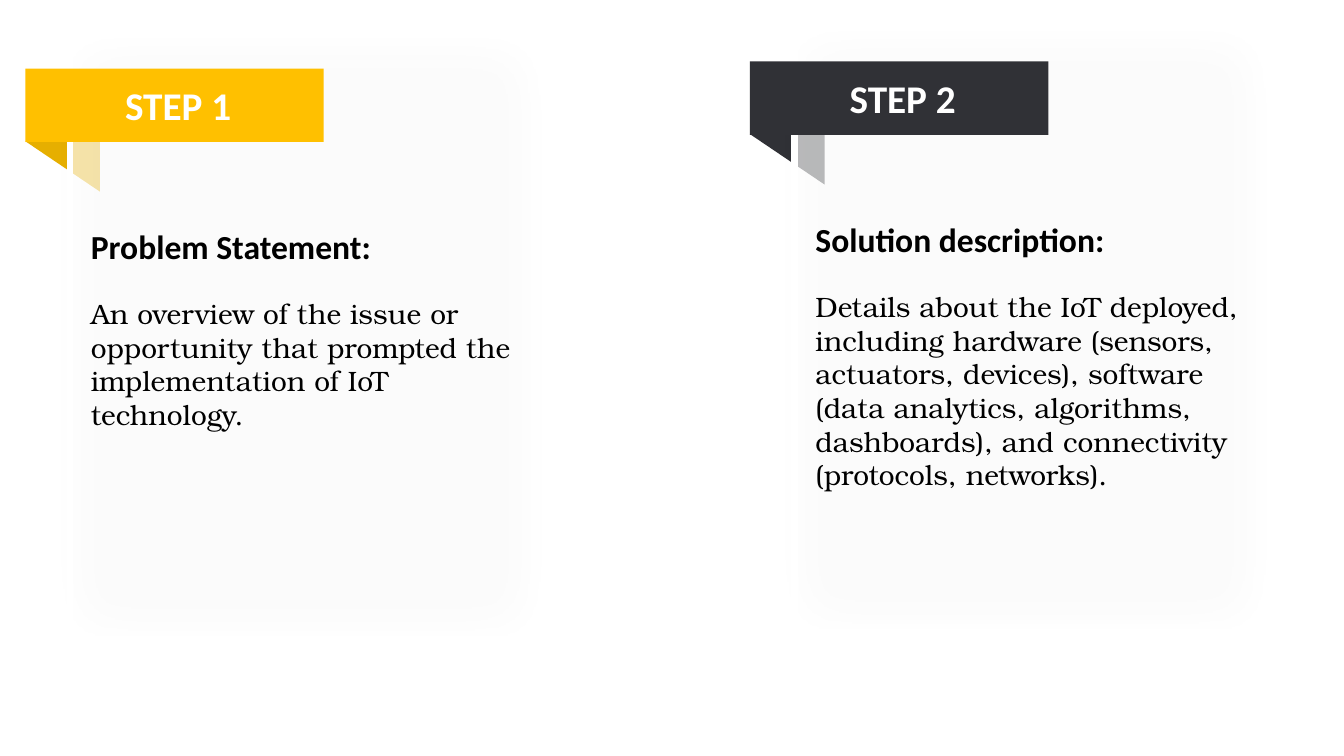
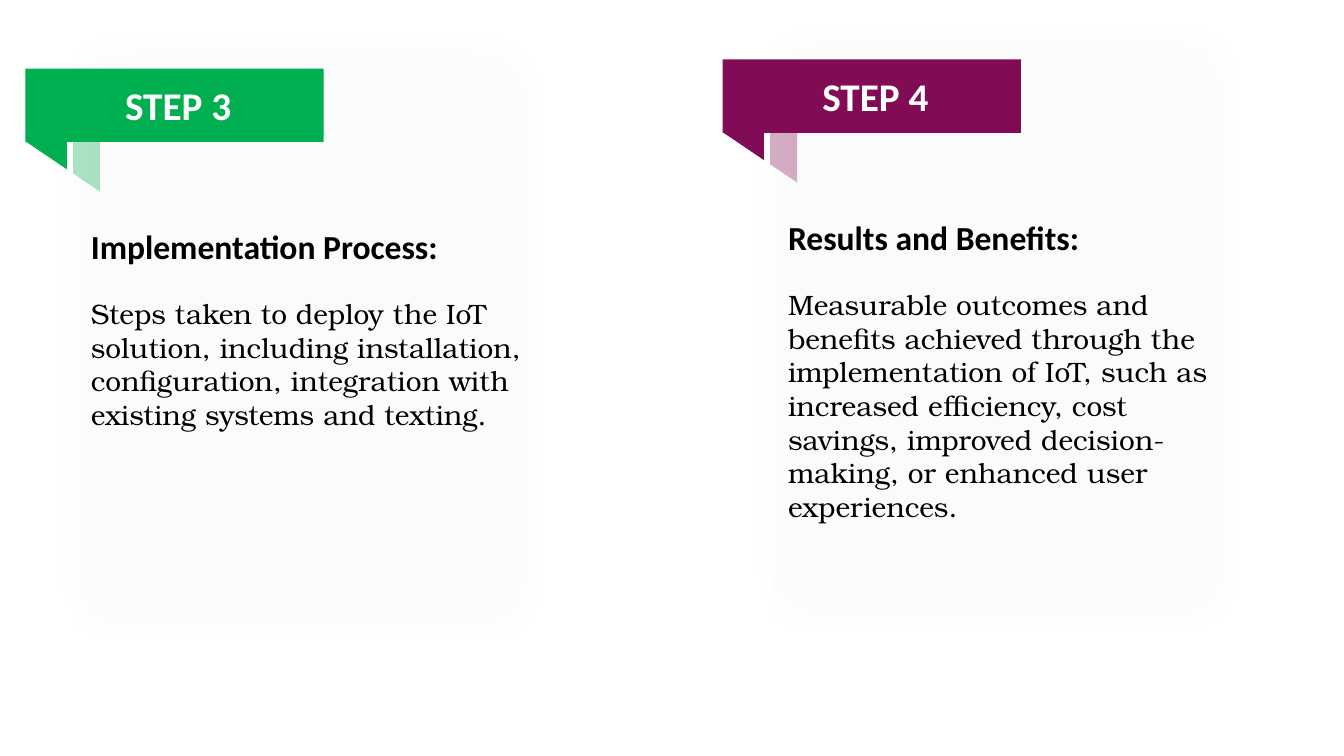
from lxml.etree import SubElement
from pptx import Presentation
from pptx.dml.color import RGBColor
from pptx.enum.shapes import MSO_SHAPE
from pptx.enum.text import MSO_ANCHOR, MSO_AUTO_SIZE, PP_ALIGN
from pptx.oxml.ns import qn
from pptx.util import Cm, Pt

COLORS = {
    "black": "000000",
    "white": "FFFFFF",
    "amber": "FFC000",
    "dark_amber": "E6AF00",
    "charcoal": "303136",
    "green": "00B050",
    "plum": "810C55",
}
HEADING_FONT = "Calibri"
BODY_FONT = "TeX Gyre Bonum"

SLIDES = [
    [
        {
            "origin": (0.64, 0), "ribbon": "amber", "fold": "dark_amber",
            "label": "STEP 1", "heading": "Problem Statement:",
            "body": "An overview of the issue or opportunity that prompted "
                    "the implementation of IoT technology.",
        },
        {
            "origin": (18.9, -0.18), "ribbon": "charcoal", "fold": "charcoal",
            "label": "STEP 2", "heading": "Solution description:",
            "body": "Details about the IoT deployed, including hardware (sensors, "
                    "actuators, devices), software (data analytics, algorithms, "
                    "dashboards), and connectivity (protocols, networks).",
        },
    ],
    [
        {
            "origin": (0.64, 0), "ribbon": "green", "fold": "green",
            "label": "STEP 3", "heading": "Implementation Process:",
            "body": "Steps taken to deploy the IoT solution, including installation, "
                    "configuration, integration with existing systems and texting.",
        },
        {
            "origin": (18.21, -0.23), "ribbon": "plum", "fold": "plum",
            "label": "STEP 4", "heading": "Results and Benefits:",
            "body": "Measurable outcomes and benefits achieved through the "
                    "implementation of IoT, such as increased efficiency, cost "
                    "savings, improved decision-making, or enhanced user experiences.",
        },
    ],
]

PARTS = {
    "fold": (0, 3.56, 1.88, 1.27),
    "shade": (0, 0, 13.92, 17.07),
    "panel": (1.12, 0.89, 12.09, 15.21),
    "ribbon": (0, 1.73, 7.52, 1.85),
    "text": (1.4, 5.56, 11.53, 5.5),
}


def place(part, origin):
    left, top, width, height = PARTS[part]
    return Cm(origin[0] + left), Cm(origin[1] + top), Cm(width), Cm(height)


def add_block(page, part, origin, color, kind=MSO_SHAPE.RECTANGLE, opacity=None):
    block = page.shapes.add_shape(kind, *place(part, origin))
    block.shadow.inherit = False
    block.fill.solid()
    block.fill.fore_color.rgb = RGBColor.from_string(COLORS[color])
    block.line.fill.background()
    if opacity is not None:
        tone = block.fill._xPr.find(qn("a:solidFill"))[0]
        SubElement(tone, qn("a:alpha"), val=str(opacity * 1000))
    return block


def write(para, text, size, font=HEADING_FONT, color="black", bold=False,
          align=PP_ALIGN.LEFT, before=0):
    para.alignment = align
    para.space_before = Pt(before)
    span = para.add_run()
    span.text = text
    span.font.name = font
    span.font.size = Pt(size)
    span.font.bold = bold
    span.font.color.rgb = RGBColor.from_string(COLORS[color])


def add_card(page, card):
    origin = card["origin"]
    fold = add_block(page, "fold", origin, card["fold"], MSO_SHAPE.RIGHT_TRIANGLE)
    fold.rotation = 180

    shade = add_block(page, "shade", origin, "black", opacity=4)
    effects = shade._element.spPr.find(qn("a:effectLst"))
    SubElement(effects, qn("a:softEdge"), rad=str(Pt(25)))

    panel = add_block(page, "panel", origin, "white", opacity=66)
    panel.line.color.rgb = RGBColor.from_string(COLORS["white"])
    panel.line.width = Pt(4.5)

    ribbon = add_block(page, "ribbon", origin, card["ribbon"])
    frame = ribbon.text_frame
    frame.vertical_anchor = MSO_ANCHOR.MIDDLE
    frame.margin_left = Cm(0.43)
    write(frame.paragraphs[0], card["label"], 28, color="white", bold=True,
          align=PP_ALIGN.CENTER)

    box = page.shapes.add_textbox(*place("text", origin))
    frame = box.text_frame
    frame.word_wrap = True
    frame.auto_size = MSO_AUTO_SIZE.SHAPE_TO_FIT_TEXT
    write(frame.paragraphs[0], card["heading"], 24, bold=True)
    write(frame.add_paragraph(), card["body"], 20, font=BODY_FONT, before=22)


def main():
    deck = Presentation()
    deck.slide_width, deck.slide_height = Cm(33.87), Cm(19.05)
    blank = deck.slide_layouts.get_by_name("Blank")
    for cards in SLIDES:
        page = deck.slides.add_slide(blank)
        for card in cards:
            add_card(page, card)
    deck.save("out.pptx")


if __name__ == "__main__":
    main()
